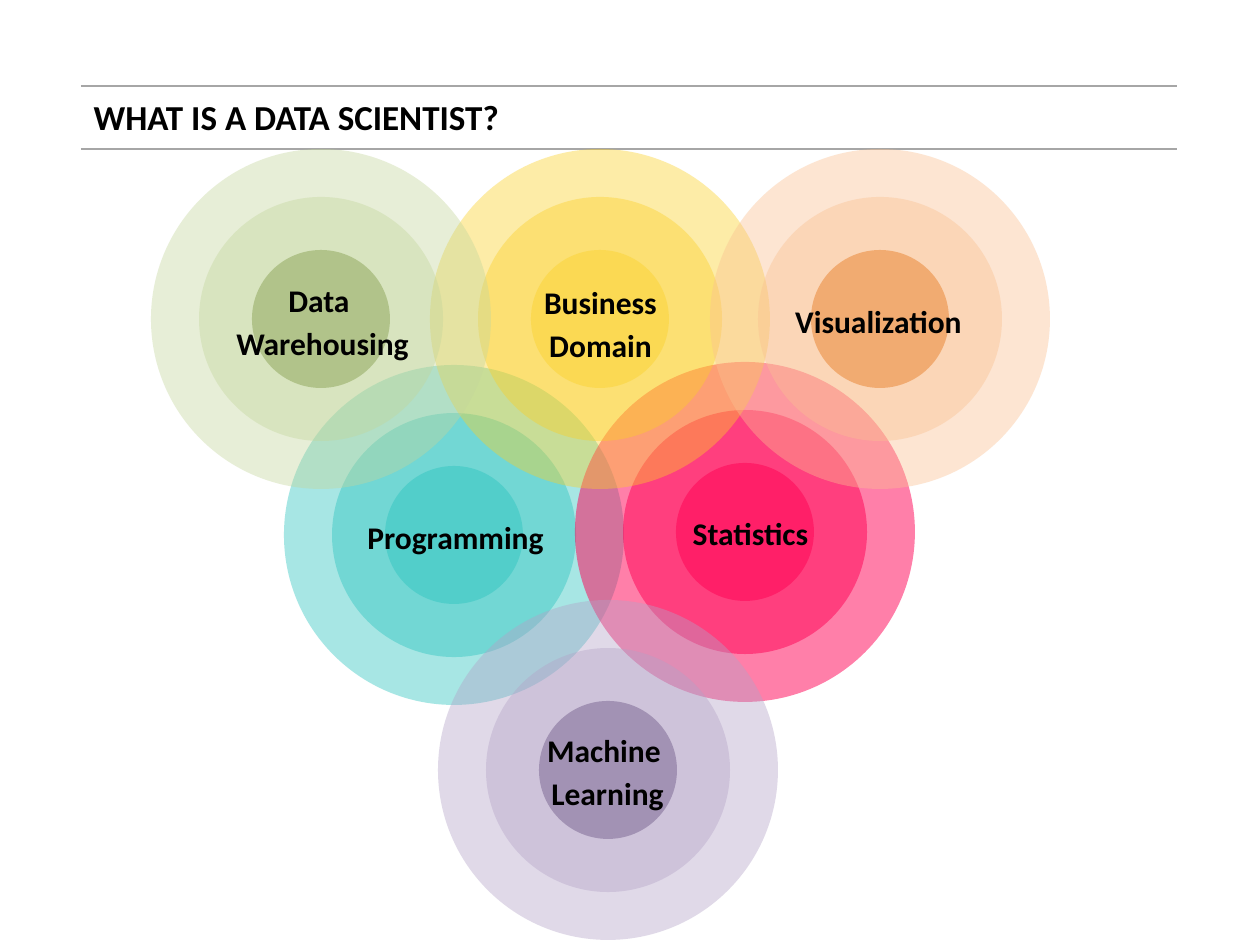
from lxml import etree
from pptx import Presentation
from pptx import util as u
from pptx.dml.color import RGBColor
from pptx.enum import shapes, text
from pptx.oxml.ns import qn

PX = 914400 / 126
FONT = "Calibri"
DIAMETERS = (340, 244, 138)
LABEL_W, LABEL_H = 273, 58
COLORS = {
    "text": "000000", "rule": "A6A6A6",
    "teal": "23C2BC", "pink": "FF0054", "yellow": "FBD025",
    "green": "C3D69B", "dark green": "77933C",
    "purple": "B3A2C7", "dark purple": "604A7B",
    "peach": "FAC090", "orange": "E46C0A",
}
SKILLS = [
    ("Programming", (454, 535), (319, 508), "teal", "teal", 40),
    ("Statistics", (745, 532), (614, 504), "pink", "pink", 50),
    ("Business\nDomain", (600, 319), (464, 273), "yellow", "yellow", 40),
    ("Data \nWarehousing", (321, 319), (186, 271), "green", "dark green", 40),
    ("Machine \nLearning", (608, 770), (471, 721), "purple", "dark purple", 40),
    ("Visualization", (880, 319), (742, 292), "peach", "orange", 40),
]


def px(n):
    return u.Emu(round(n * PX))


def rgb(name):
    return RGBColor.from_string(COLORS[name])


def format_runs(p, size):
    for r in p.runs:
        r.font.name = FONT
        r.font.size = u.Pt(size)
        r.font.bold = True
        r.font.color.rgb = rgb("text")


def add_title(s, title):
    sp = s.shapes.title
    sp.left, sp.top, sp.width, sp.height = px(81), px(89), px(444), px(55)
    tf = sp.text_frame
    tf.text = title
    tf.word_wrap = False
    tf.auto_size = text.MSO_AUTO_SIZE.SHAPE_TO_FIT_TEXT
    tf.vertical_anchor = text.MSO_ANCHOR.TOP
    p = tf.paragraphs[0]
    p.alignment = text.PP_ALIGN.LEFT
    format_runs(p, 20)


def add_rule(s, y):
    line = s.shapes.add_connector(
        shapes.MSO_CONNECTOR.STRAIGHT, px(81), px(y), px(1177), px(y))
    line.line.color.rgb = rgb("rule")
    line.line.width = u.Pt(0.75)
    etree.SubElement(line._element.spPr, qn("a:effectLst"))


def add_disc(s, center, diameter, color, opacity):
    x, y = (c - diameter // 2 for c in center)
    sp = s.shapes.add_shape(
        shapes.MSO_SHAPE.OVAL, px(x), px(y), px(diameter), px(diameter))
    sp.shadow.inherit = False
    sp.line.fill.background()
    sp.fill.solid()
    sp.fill.fore_color.rgb = rgb(color)
    clr = sp._element.spPr.find(qn("a:solidFill"))[0]
    etree.SubElement(clr, qn("a:alpha"), val=str(opacity * 1000))


def add_label(s, label, x, y):
    sp = s.shapes.add_textbox(px(x), px(y), px(LABEL_W), px(LABEL_H))
    tf = sp.text_frame
    tf.word_wrap = True
    tf.margin_left = tf.margin_right = u.Inches(0.07)
    tf.margin_top = tf.margin_bottom = u.Inches(0.04)
    tf.text = label
    for p in tf.paragraphs:
        p.alignment = text.PP_ALIGN.CENTER
        p.line_spacing = u.Pt(24.5)
        format_runs(p, 18)


def add_skill(s, label, center, label_at, color, core, opacity):
    for diameter, fill in zip(DIAMETERS, (color, color, core)):
        add_disc(s, center, diameter, fill, opacity)
    add_label(s, label, *label_at)


def main():
    prs = Presentation()
    prs.slide_width, prs.slide_height = px(1260), px(945)
    s = prs.slides.add_slide(prs.slide_layouts[5])
    add_title(s, "WHAT IS A DATA SCIENTIST?")
    for y in (86, 149):
        add_rule(s, y)
    for skill in SKILLS:
        add_skill(s, *skill)
    prs.save("out.pptx")


if __name__ == "__main__":
    main()
